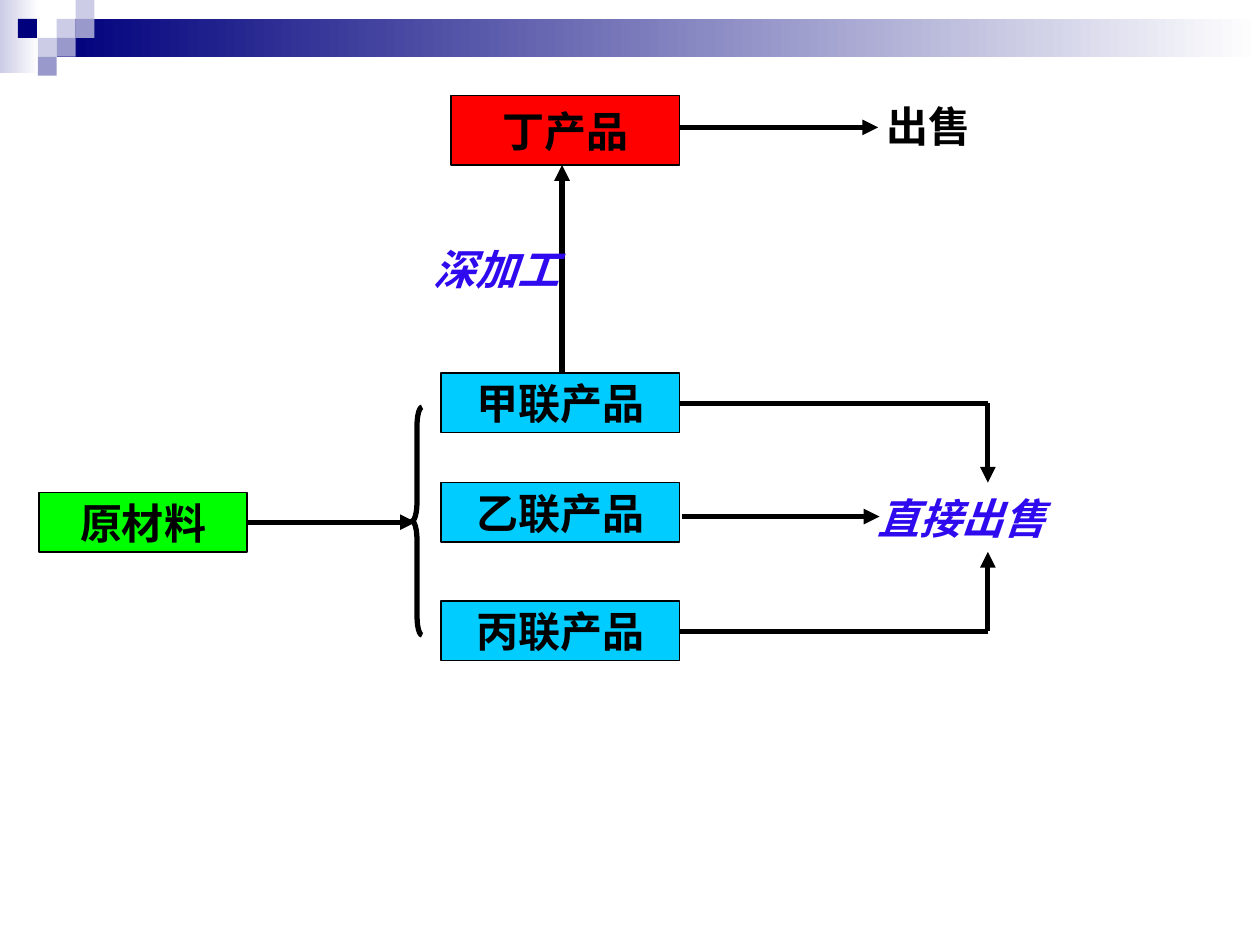
import pptx
import pptx.dml.color
import pptx.enum.shapes
import pptx.enum.text
import pptx.oxml
import pptx.oxml.ns
import pptx.util

Pt = pptx.util.Pt
Shape = pptx.enum.shapes.MSO_SHAPE
BLACK = "000000"
BLUE = "300AEE"
CYAN = "00CCFF"
NAVY = "00007D"
LAVENDER = "CCCCE6"
VIOLET = "9999CC"


def color(value):
    return pptx.dml.color.RGBColor.from_string(value)


def assign(target, values):
    for name, value in values.items():
        setattr(target, name, value)


class FlowSlide:
    font_format = {"name": "Times New Roman", "size": Pt(24), "bold": True}
    frame_format = {
        "word_wrap": False,
        "auto_size": pptx.enum.text.MSO_AUTO_SIZE.NONE,
        "vertical_anchor": pptx.enum.text.MSO_ANCHOR.MIDDLE,
        "margin_left": Pt(7.2),
        "margin_right": Pt(7.2),
        "margin_top": Pt(3.6),
        "margin_bottom": Pt(3.6),
    }
    box_line = Pt(0.75)
    flow_line = Pt(3)

    def __init__(self, slide):
        self.slide = slide

    def shape(self, kind, bounds):
        shape = self.slide.shapes.add_shape(kind, *map(Pt, bounds))
        shape.shadow.inherit = False
        return shape

    def tile(self, bounds, fill):
        shape = self.shape(Shape.RECTANGLE, bounds)
        shape.fill.solid()
        shape.fill.fore_color.rgb = color(fill)
        shape.line.fill.background()

    def fade(self, bounds, fill):
        shape = self.shape(Shape.RECTANGLE, bounds)
        shape.fill.gradient()
        shape.fill.gradient_angle = 180
        for stop, value in zip(shape.fill.gradient_stops, ("FFFFFF", fill)):
            stop.color.rgb = color(value)
        shape.line.fill.background()

    def caption(self, shape, text, text_color, italic=False):
        assign(shape.text_frame, self.frame_format)
        paragraph = shape.text_frame.paragraphs[0]
        paragraph.alignment = pptx.enum.text.PP_ALIGN.CENTER
        run = paragraph.add_run()
        run.text = text
        assign(run.font, {**self.font_format, "italic": italic})
        run.font.color.rgb = color(text_color)

    def box(self, text, bounds, fill):
        shape = self.shape(Shape.RECTANGLE, bounds)
        shape.fill.solid()
        shape.fill.fore_color.rgb = color(fill)
        shape.line.color.rgb = color(BLACK)
        shape.line.width = self.box_line
        self.caption(shape, text, BLACK)

    def label(self, text, bounds, text_color=BLACK, italic=False):
        shape = self.slide.shapes.add_textbox(*map(Pt, bounds))
        self.caption(shape, text, text_color, italic)

    def brace(self, bounds, curve):
        shape = self.shape(Shape.LEFT_BRACE, bounds)
        shape.adjustments[0] = curve
        shape.fill.background()
        shape.line.color.rgb = color(BLACK)
        shape.line.width = self.flow_line

    def line(self, start, end, arrow=True):
        connector = self.slide.shapes.add_connector(
            pptx.enum.shapes.MSO_CONNECTOR.STRAIGHT, *map(Pt, start + end))
        connector.line.color.rgb = color(BLACK)
        connector.line.width = self.flow_line
        properties = connector.element.spPr
        namespace = pptx.oxml.ns.nsdecls("a")
        if arrow:
            properties.get_or_add_ln().append(
                pptx.oxml.parse_xml(f'<a:tailEnd {namespace} type="triangle"/>'))
        properties.append(pptx.oxml.parse_xml(f"<a:effectLst {namespace}/>"))


def draw_header(flow):
    side = 10.8
    flow.fade((0, 0, 22.3, 41.8), LAVENDER)
    flow.fade((32.4, side, 687.6, 21.6), NAVY)
    tiles = [
        (3, 1, LAVENDER), (4, 0, LAVENDER), (4, 1, VIOLET), (2, 2, LAVENDER),
        (0.95, 1, NAVY), (3, 2, VIOLET), (2, 3, VIOLET),
    ]
    for column, row, fill in tiles:
        flow.tile((column * side, row * side, side, side), fill)


def draw_flow(flow):
    box_height = 34
    product_left, product_width = 252, 136.3
    product_right = product_left + product_width
    sale_x = 564.5

    flow.box("原材料", (22.3, 281.5, 118.8, box_height), "00FF00")
    flow.line((141.1, 298.4), (237.6, 298.4))
    products = [("甲联产品", 213.1), ("乙联产品", 275.8), ("丙联产品", 343.4)]
    for text, top in products:
        flow.box(text, (product_left, top, product_width, box_height), CYAN)
    flow.box("丁产品", (257.8, 54.7, 130.5, 39.6), "FF0000")
    flow.brace((235.4, 232.6, 5.8, 130.3), 1.83)
    flow.line((321.2, 213.1), (321.2, 94.3))

    flow.label("直接出售", (478.8, 275.8, 141.8, 39.6), BLUE, True)
    for start_y, end_y in ((360.7, 315.4), (230.4, 275.8)):
        flow.line((product_right, start_y), (sale_x, start_y), arrow=False)
        flow.line((sale_x, start_y), (sale_x, end_y))
    flow.line((389.5, 295.2), (502.6, 295.2))

    flow.label("出售", (462.3, 54.7, 136.1, box_height))
    flow.line((product_right, 72.8), (501.8, 72.8))
    flow.label("深加工", (241.2, 133.9, 85, 39.6), BLUE, True)


def main():
    presentation = pptx.Presentation()
    assign(presentation, {"slide_width": Pt(720), "slide_height": Pt(540)})
    flow = FlowSlide(presentation.slides.add_slide(presentation.slide_layouts[6]))
    draw_header(flow)
    draw_flow(flow)
    presentation.save("out.pptx")


if __name__ == "__main__":
    main()
